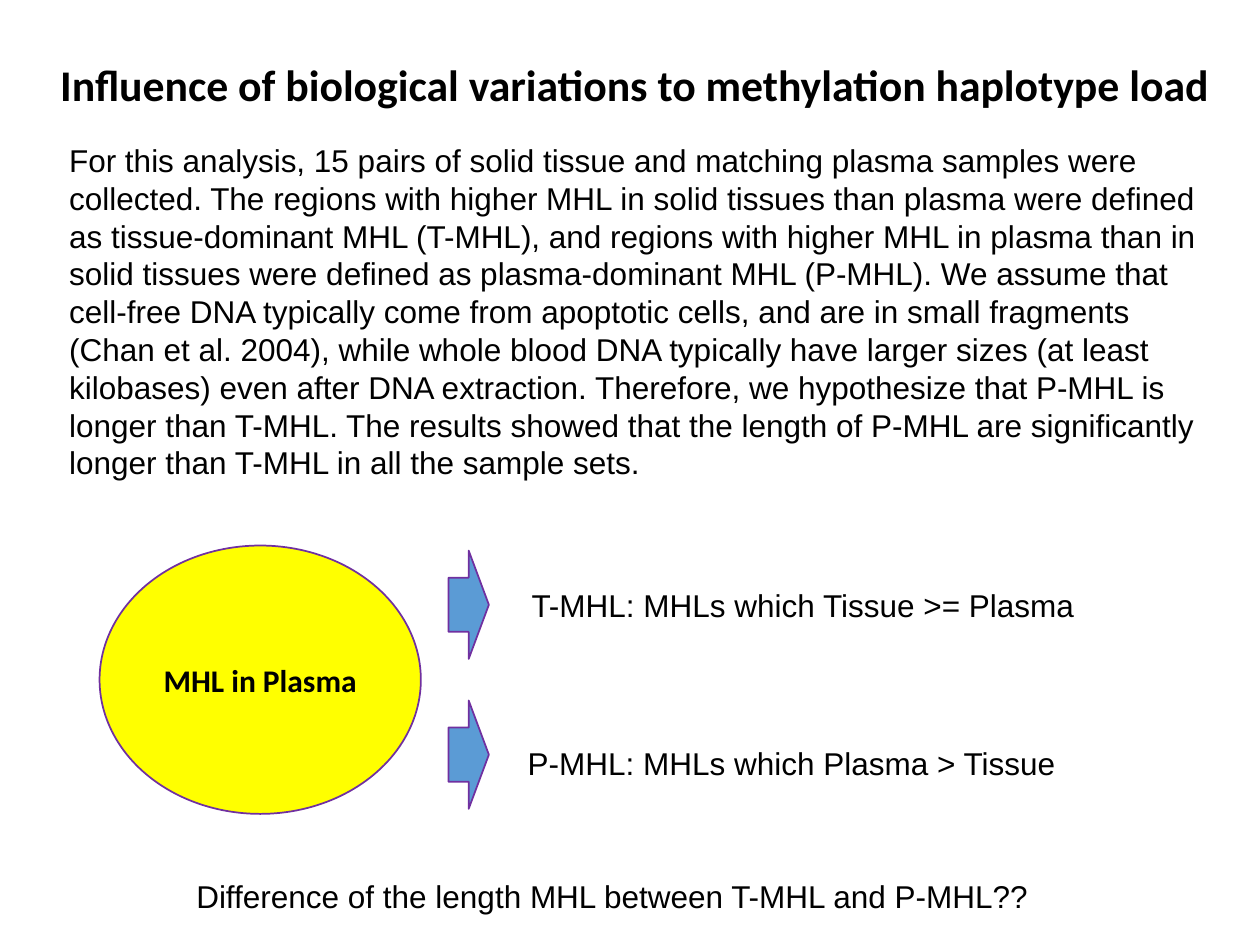
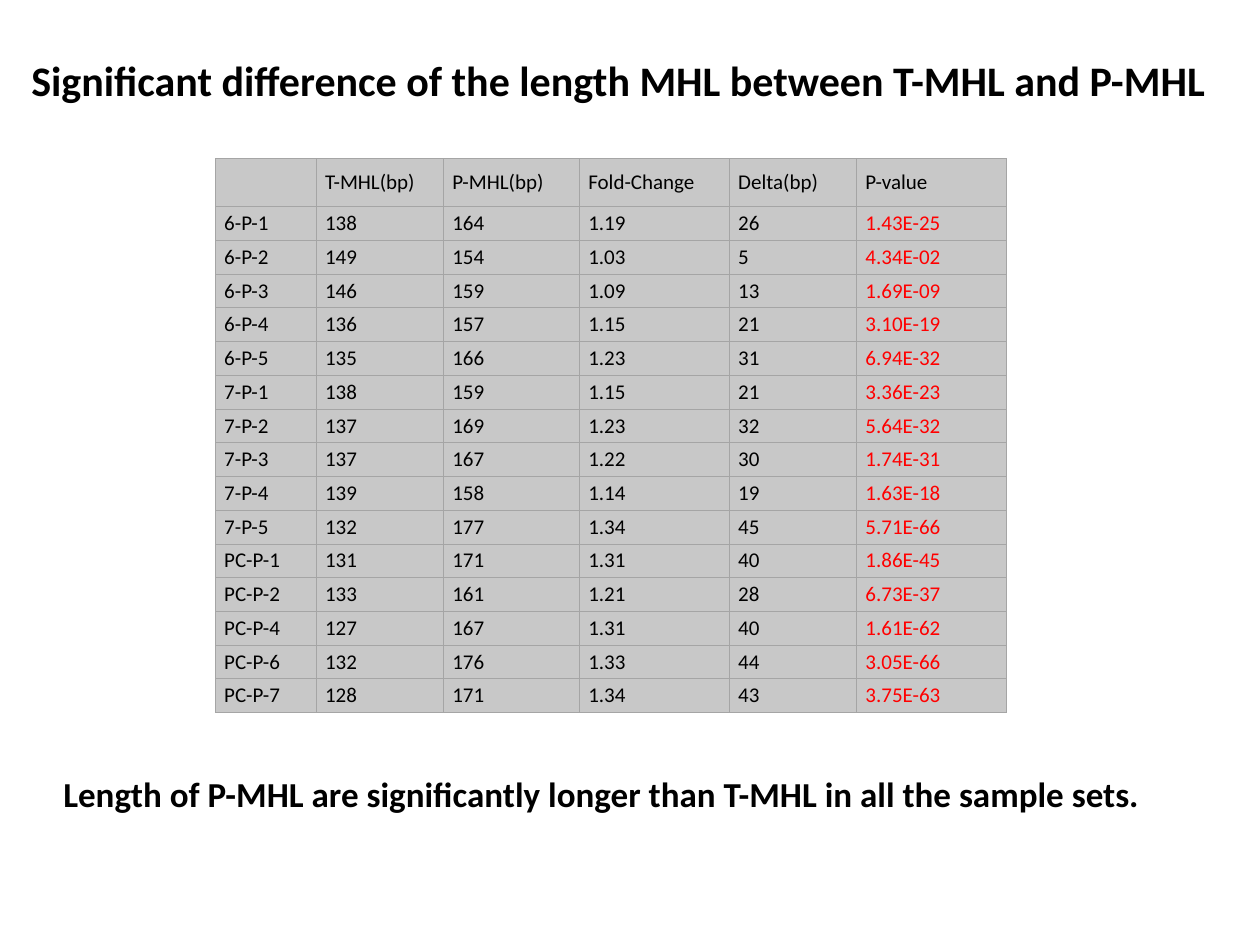
from lxml import etree
from pptx import Presentation
from pptx.dml.color import RGBColor
from pptx.enum.shapes import MSO_SHAPE as Preset
from pptx.enum.text import MSO_ANCHOR as Anchor, MSO_AUTO_SIZE as AutoSize, PP_ALIGN as Align
from pptx.oxml.ns import qn
from pptx.util import Inches, Pt

BLACK, RED, YELLOW = "000000", "FF0000", "FFFF00"
BLUE, PURPLE = "5B9BD5", "7030A0"
CELL_FILL, CELL_BORDER = "C8C8C8", "A5A5A5"
HEADING_FONT, BODY_FONT = "Calibri", "Arial"

ABSTRACT = (
    "For this analysis, 15 pairs of solid tissue and matching plasma samples were collected. "
    "The regions with higher MHL in solid tissues than plasma were defined as tissue-dominant "
    "MHL (T-MHL), and regions with higher MHL in plasma than in solid tissues were defined as "
    "plasma-dominant MHL (P-MHL). We assume that cell-free DNA typically come from apoptotic "
    "cells, and are in small fragments (Chan et al. 2004), while whole blood DNA typically have "
    "larger sizes (at least kilobases) even after DNA extraction. Therefore, we hypothesize that "
    "P-MHL is longer than T-MHL. The results showed that the length of P-MHL are significantly "
    "longer than T-MHL in all the sample sets."
)

LENGTH_HEADER = ("", "T-MHL(bp)", "P-MHL(bp)", "Fold-Change", "Delta(bp)", "P-value")
LENGTH_ROWS = [
    ("6-P-1", "138", "164", "1.19", "26", "1.43E-25"),
    ("6-P-2", "149", "154", "1.03", "5", "4.34E-02"),
    ("6-P-3", "146", "159", "1.09", "13", "1.69E-09"),
    ("6-P-4", "136", "157", "1.15", "21", "3.10E-19"),
    ("6-P-5", "135", "166", "1.23", "31", "6.94E-32"),
    ("7-P-1", "138", "159", "1.15", "21", "3.36E-23"),
    ("7-P-2", "137", "169", "1.23", "32", "5.64E-32"),
    ("7-P-3", "137", "167", "1.22", "30", "1.74E-31"),
    ("7-P-4", "139", "158", "1.14", "19", "1.63E-18"),
    ("7-P-5", "132", "177", "1.34", "45", "5.71E-66"),
    ("PC-P-1", "131", "171", "1.31", "40", "1.86E-45"),
    ("PC-P-2", "133", "161", "1.21", "28", "6.73E-37"),
    ("PC-P-4", "127", "167", "1.31", "40", "1.61E-62"),
    ("PC-P-6", "132", "176", "1.33", "44", "3.05E-66"),
    ("PC-P-7", "128", "171", "1.34", "43", "3.75E-63"),
]
COLUMN_WIDTHS = (0.8, 1.01, 1.08, 1.19, 1.01, 1.19)
HEADER_HEIGHT, TABLE_HEIGHT = 0.38, 4.4


def color(value):
    return RGBColor.from_string(value)


class Deck:
    def __init__(self):
        self.presentation = Presentation()
        self.presentation.slide_width = Inches(10)
        self.presentation.slide_height = Inches(7.5)
        self.slide = None

    def add_slide(self):
        self.slide = self.presentation.slides.add_slide(self.presentation.slide_layouts[6])

    def add_run(self, frame, text, size, font, bold=False, ink=BLACK, align=Align.LEFT):
        paragraph = frame.paragraphs[0]
        paragraph.alignment = align
        run = paragraph.add_run()
        run.text = text
        run.font.size = Pt(size)
        run.font.name = font
        run.font.bold = bold
        run.font.color.rgb = color(ink)

    def text(self, box, text, size=18, font=BODY_FONT, bold=False, align=Align.LEFT, wrap=True):
        frame = self.slide.shapes.add_textbox(*map(Inches, box)).text_frame
        frame.word_wrap = wrap
        frame.auto_size = AutoSize.SHAPE_TO_FIT_TEXT
        self.add_run(frame, text, size, font, bold, align=align)

    def heading(self, box, text, size, align=Align.LEFT, wrap=True):
        self.text(box, text, size, HEADING_FONT, True, align, wrap)

    def shape(self, preset, box, fill, label=""):
        shape = self.slide.shapes.add_shape(preset, *map(Inches, box))
        shape.shadow.inherit = False
        shape.fill.solid()
        shape.fill.fore_color.rgb = color(fill)
        shape.line.color.rgb = color(PURPLE)
        shape.line.width = Pt(1)
        if label:
            frame = shape.text_frame
            frame.vertical_anchor = Anchor.MIDDLE
            self.add_run(frame, label, 18, HEADING_FONT, True, align=Align.CENTER)

    def border(self, cell):
        properties = cell._tc.get_or_add_tcPr()
        for position, side in enumerate(("a:lnL", "a:lnR", "a:lnT", "a:lnB")):
            line = etree.Element(qn(side), w=str(Pt(0.5)))
            fill = etree.SubElement(line, qn("a:solidFill"))
            etree.SubElement(fill, qn("a:srgbClr"), val=CELL_BORDER)
            properties.insert(position, line)

    def cell(self, cell, text, ink):
        cell.fill.solid()
        cell.fill.fore_color.rgb = color(CELL_FILL)
        cell.vertical_anchor = Anchor.MIDDLE
        cell.margin_left = cell.margin_right = Inches(0.07)
        cell.margin_top = cell.margin_bottom = Inches(0.03)
        self.border(cell)
        if text:
            self.add_run(cell.text_frame, text, 12, HEADING_FONT, ink=ink)

    def table(self, left, top, header, rows):
        box = (left, top, sum(COLUMN_WIDTHS), TABLE_HEIGHT)
        table = self.slide.shapes.add_table(
            len(rows) + 1, len(header), *map(Inches, box)).table
        table.first_row = table.horz_banding = False
        for column, width in zip(table.columns, COLUMN_WIDTHS):
            column.width = Inches(width)
        body_height = (TABLE_HEIGHT - HEADER_HEIGHT) / len(rows)
        for row_index, values in enumerate([header, *rows]):
            table.rows[row_index].height = Inches(body_height if row_index else HEADER_HEIGHT)
            for column_index, value in enumerate(values):
                is_p_value = row_index > 0 and column_index == len(header) - 1
                self.cell(table.cell(row_index, column_index), value, RED if is_p_value else BLACK)


def add_hypothesis_slide(deck):
    deck.add_slide()
    deck.text((0.45, 1.07, 9.29, 2.83), ABSTRACT)
    deck.heading((0.38, 0.41, 9.43, 0.52),
                 "Influence of biological variations to methylation haplotype load", 25, wrap=False)
    deck.text((1.46, 6.91, 8.8, 0.4), "Difference of the length MHL between T-MHL and P-MHL??")
    deck.shape(Preset.OVAL, (0.79, 4.33, 2.55, 2.13), YELLOW, "MHL in Plasma")
    for arrow_top in (4.37, 5.56):
        deck.shape(Preset.RIGHT_ARROW, (3.56, arrow_top, 0.32, 0.86), BLUE)
    deck.text((4.12, 4.6, 4.55, 0.4), "T-MHL: MHLs which Tissue >= Plasma", wrap=False)
    deck.text((4.09, 5.86, 4.43, 0.4), "P-MHL: MHLs which Plasma > Tissue", wrap=False)


def add_length_slide(deck):
    deck.add_slide()
    deck.table(1.71, 1.26, LENGTH_HEADER, LENGTH_ROWS)
    deck.heading((-0.68, 6.08, 10.97, 0.44),
                 "Length of P-MHL are significantly longer than T-MHL in all the sample sets. ",
                 20, Align.CENTER)
    deck.heading((0.15, 0.38, 9.85, 0.5),
                 "Significant difference of the length MHL between T-MHL and P-MHL", 24)


def main():
    deck = Deck()
    add_hypothesis_slide(deck)
    add_length_slide(deck)
    deck.presentation.save("out.pptx")


if __name__ == "__main__":
    main()
